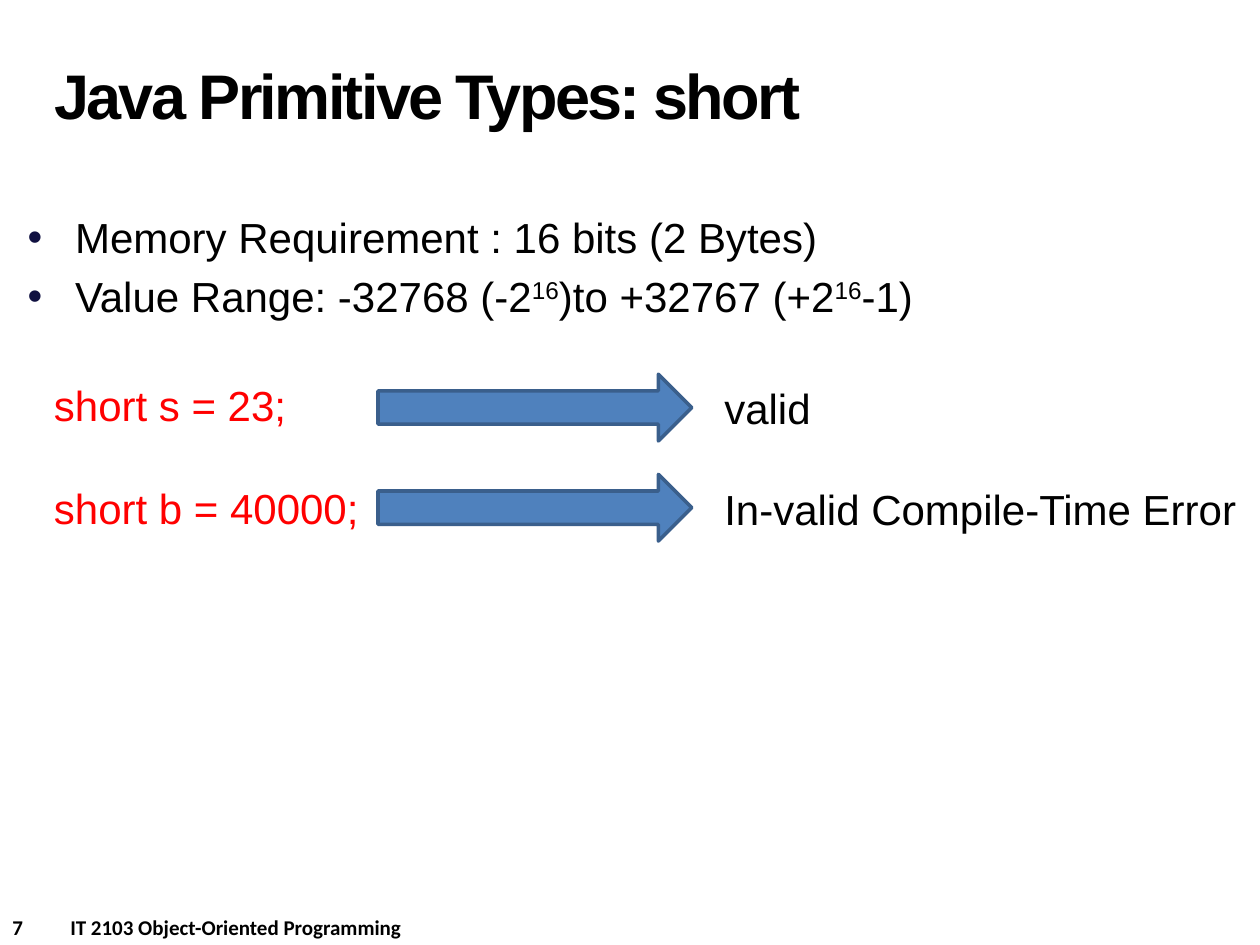
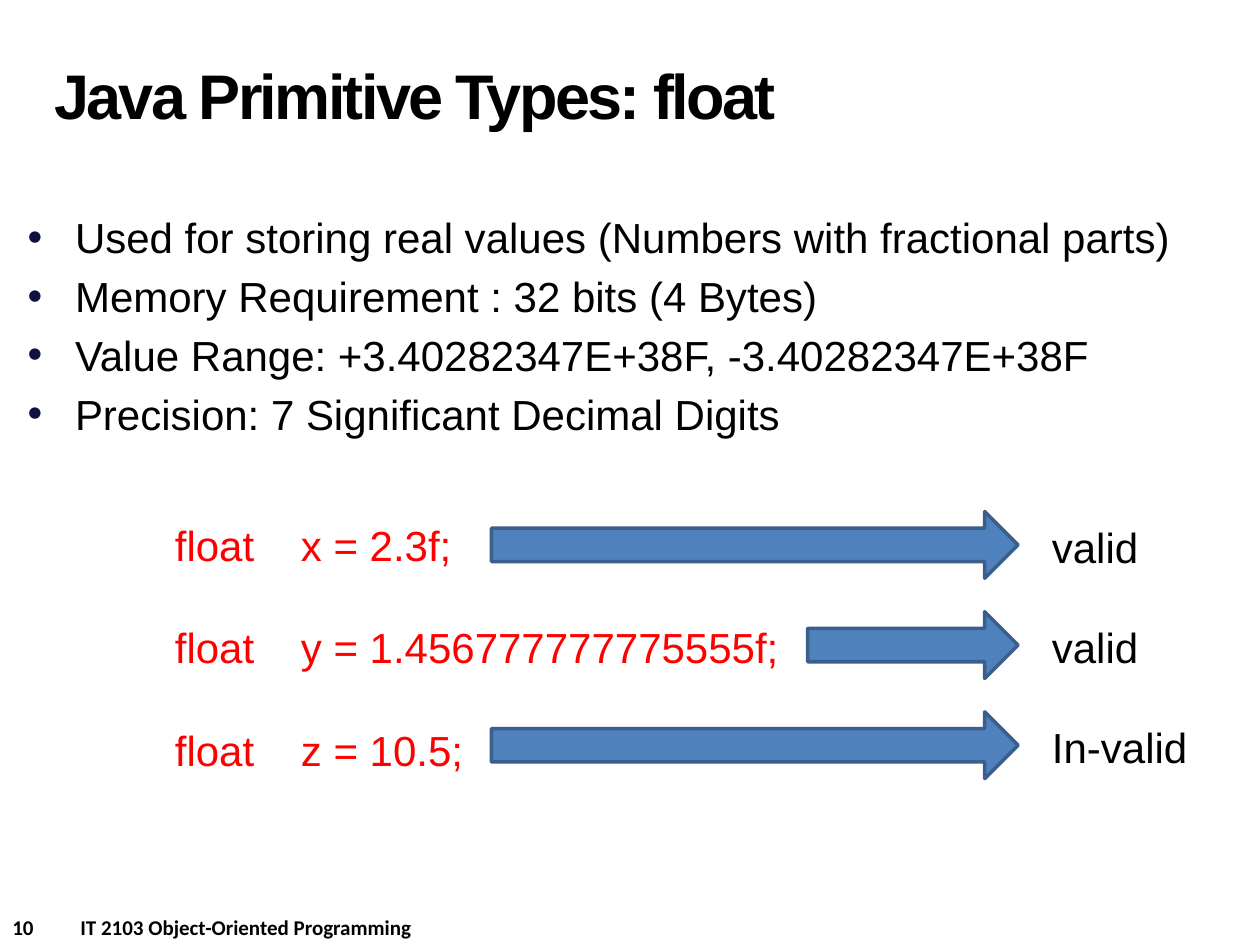
from dataclasses import dataclass

from lxml import etree
from pptx import Presentation
from pptx.dml.color import RGBColor
from pptx.enum.shapes import MSO_SHAPE
from pptx.enum.text import MSO_ANCHOR, MSO_AUTO_SIZE, PP_ALIGN
from pptx.oxml.ns import qn
from pptx.util import Emu, Inches, Pt

RIGHT_ARROW = MSO_SHAPE.RIGHT_ARROW
LEFT = PP_ALIGN.LEFT
MIDDLE, TOP = MSO_ANCHOR.MIDDLE, MSO_ANCHOR.TOP
NO_FIT = MSO_AUTO_SIZE.NONE

BLACK = RGBColor(0x00, 0x00, 0x00)
RED = RGBColor(0xFF, 0x00, 0x00)
NAVY = RGBColor(0x10, 0x11, 0x41)
ARROW_FILL = RGBColor(0x4F, 0x81, 0xBD)
ARROW_LINE = RGBColor(0x3A, 0x5F, 0x8C)

WIDTH, HEIGHT = Inches(10), Inches(7.5)
COL, ROW = WIDTH / 100, HEIGHT / 75
ARROW_PITCH, ARROW_HEIGHT = 7.95, 5.3
LABEL_HEIGHT = 5
BULLET_INDENT = 3.75
COURSE = "IT 2103 Object-Oriented Programming"


@dataclass(frozen=True)
class Box:
    col: float
    row: float
    cols: float
    rows: float

    def emu(self) -> tuple[Emu, ...]:
        return (Emu(round(self.col * COL)), Emu(round(self.row * ROW)),
                Emu(round(self.cols * COL)), Emu(round(self.rows * ROW)))


@dataclass(frozen=True)
class Example:
    code: str
    arrow_col: float
    verdict: str
    verdict_cols: float


@dataclass(frozen=True)
class TypeSlide:
    number: int
    footer_tab: float
    type_name: str
    bullets: tuple[tuple[str, ...], ...]
    bullet_rows: float
    code_box: Box
    first_arrow_row: float
    arrow_end: float
    label_col: float
    label_drop: float
    examples: tuple[Example, ...]


TITLE_BOX = Box(3.3, 1.7, 69.2, 12.5)
FOOTER_BOX = Box(0, 72.1, 50, 3)

SLIDES = (
    TypeSlide(
        7, 4.6, "short",
        (("Memory Requirement : 16 bits (2 Bytes)",),
         ("Value Range: -32768 (-2", "16", ")to +32767 (+2", "16", "-1)")),
        10.1, Box(3.3, 29.6, 26.4, 13.1), 29.7, 54.9, 56.5, 0.2,
        (Example("short s = 23;", 30, "valid", 9),
         Example("short b = 40000;", 30, "In-valid Compile-Time Error", 43.1)),
    ),
    TypeSlide(
        10, 5.4, "float",
        (("Used for storing real values (Numbers with fractional parts)",),
         ("Memory Requirement : 32 bits (4 Bytes)",),
         ("Value Range: +3.40282347E+38F, -3.40282347E+38F",),
         ("Precision: 7 Significant Decimal Digits",)),
        19.6, Box(12.9, 40.7, 67, 21.2), 40.6, 80.8, 82.5, 0.3,
        (Example("float\tx = 2.3f;", 39, "valid", 9),
         Example("float\ty = 1.456777777775555f;", 64.1, "valid", 9),
         Example("float\tz = 10.5;", 39, "In-valid", 13.2)),
    ),
)


def add_text(p, text: str, *, size: float = 24, font: str = "Arial",
             color: RGBColor = BLACK, bold: bool = False,
             spacing: int = 0, baseline: int = 0) -> None:
    r = p.add_run()
    r.text = text
    r.font.size, r.font.name, r.font.bold = Pt(size), font, bold
    r.font.color.rgb = color
    rPr = r._r.get_or_add_rPr()
    if spacing:
        rPr.set("spc", str(spacing))
    if baseline:
        rPr.set("baseline", str(baseline))


def place(sp, box: Box, anchor=TOP):
    sp.left, sp.top, sp.width, sp.height = box.emu()
    tf = sp.text_frame
    tf.word_wrap, tf.auto_size, tf.vertical_anchor = True, NO_FIT, anchor
    return tf


def add_box(s, box: Box):
    return place(s.shapes.add_textbox(*box.emu()), box)


def paragraph(tf, index: int):
    return tf.add_paragraph() if index else tf.paragraphs[0]


def add_title(s, type_name: str) -> None:
    p = place(s.shapes.title, TITLE_BOX, MIDDLE).paragraphs[0]
    p.alignment, p.line_spacing = LEFT, Pt(36)
    add_text(p, f"Java Primitive Types: {type_name}", size=36, bold=True,
             spacing=-150)


def add_bullets(s, bullets: tuple[tuple[str, ...], ...], rows: float) -> None:
    tf = place(s.placeholders[1], Box(1.2, 16.3, 98.8, rows))
    indent = round(BULLET_INDENT * COL)
    for i, parts in enumerate(bullets):
        p = paragraph(tf, i)
        pPr = p._p.get_or_add_pPr()
        pPr.set("marL", str(indent))
        pPr.set("indent", str(-indent))
        color = etree.SubElement(pPr, qn("a:buClr"))
        etree.SubElement(color, qn("a:srgbClr")).set("val", str(NAVY))
        for j, part in enumerate(parts):
            add_text(p, part, baseline=30000 * (j % 2))


def add_arrow(s, box: Box) -> None:
    sp = s.shapes.add_shape(RIGHT_ARROW, *box.emu())
    sp.shadow.inherit = False
    sp.fill.solid()
    sp.fill.fore_color.rgb = ARROW_FILL
    sp.line.color.rgb = ARROW_LINE
    sp.line.width = Pt(2)


def add_examples(s, page: TypeSlide) -> None:
    code_tf = add_box(s, page.code_box)
    for i, ex in enumerate(page.examples):
        p = paragraph(code_tf, i)
        if i:
            p.space_before = Pt(30)
        add_text(p, ex.code, color=RED)
        row = page.first_arrow_row + i * ARROW_PITCH
        add_arrow(s, Box(ex.arrow_col, row, page.arrow_end - ex.arrow_col,
                         ARROW_HEIGHT))
        label_tf = add_box(s, Box(page.label_col, row + page.label_drop,
                                  ex.verdict_cols, LABEL_HEIGHT))
        add_text(label_tf.paragraphs[0], ex.verdict)


def add_footer(s, number: int, tab_cols: float) -> None:
    p = add_box(s, FOOTER_BOX).paragraphs[0]
    tabs = etree.SubElement(p._p.get_or_add_pPr(), qn("a:tabLst"))
    tab = etree.SubElement(tabs, qn("a:tab"))
    tab.set("pos", str(round(tab_cols * COL)))
    tab.set("algn", "l")
    add_text(p, f"{number}\t{COURSE}", size=12, font="Calibri", bold=True)


def main() -> None:
    prs = Presentation()
    prs.slide_width, prs.slide_height = WIDTH, HEIGHT
    for page in SLIDES:
        s = prs.slides.add_slide(prs.slide_layouts[1])
        add_footer(s, page.number, page.footer_tab)
        add_title(s, page.type_name)
        add_bullets(s, page.bullets, page.bullet_rows)
        add_examples(s, page)
    prs.save("out.pptx")


if __name__ == "__main__":
    main()
